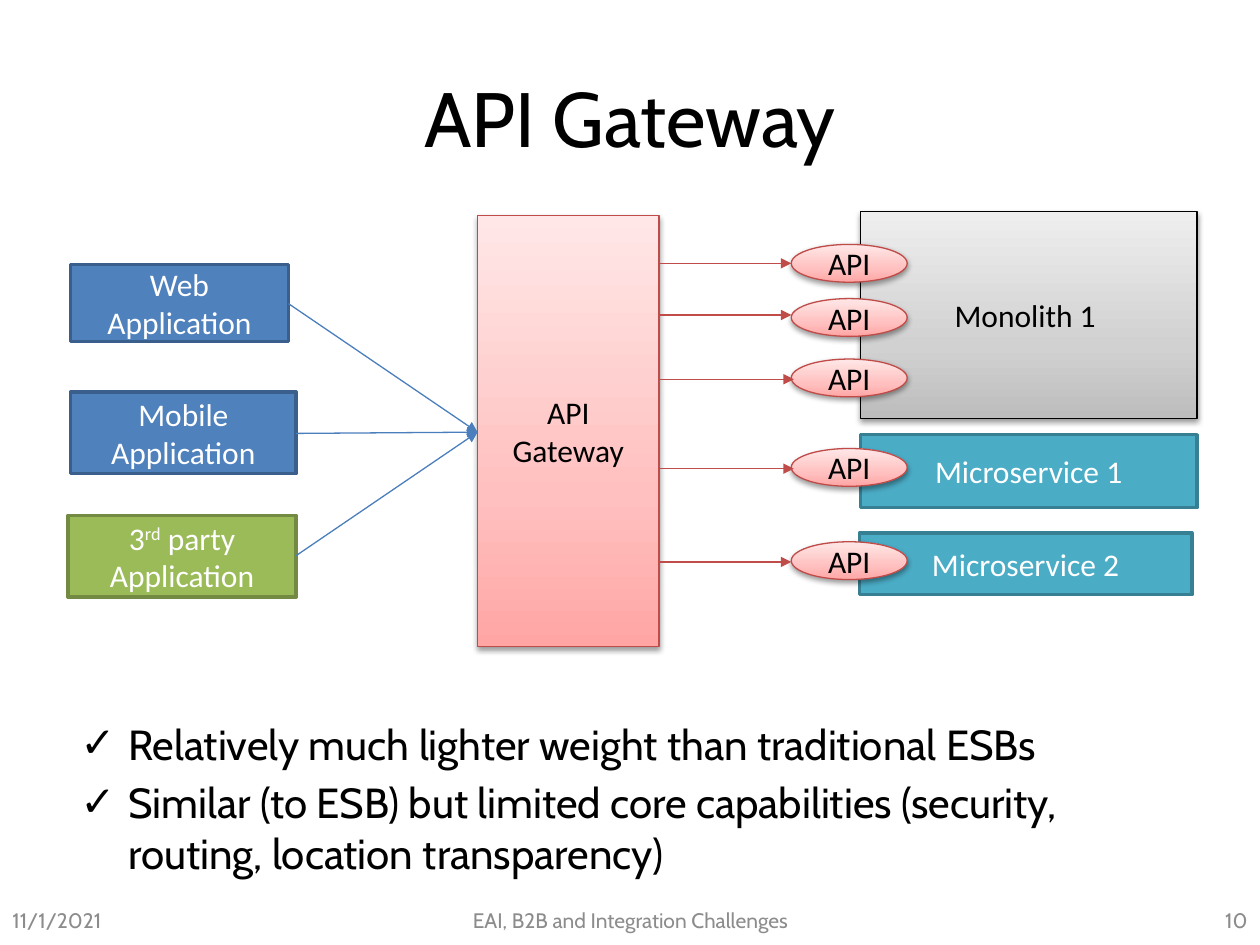
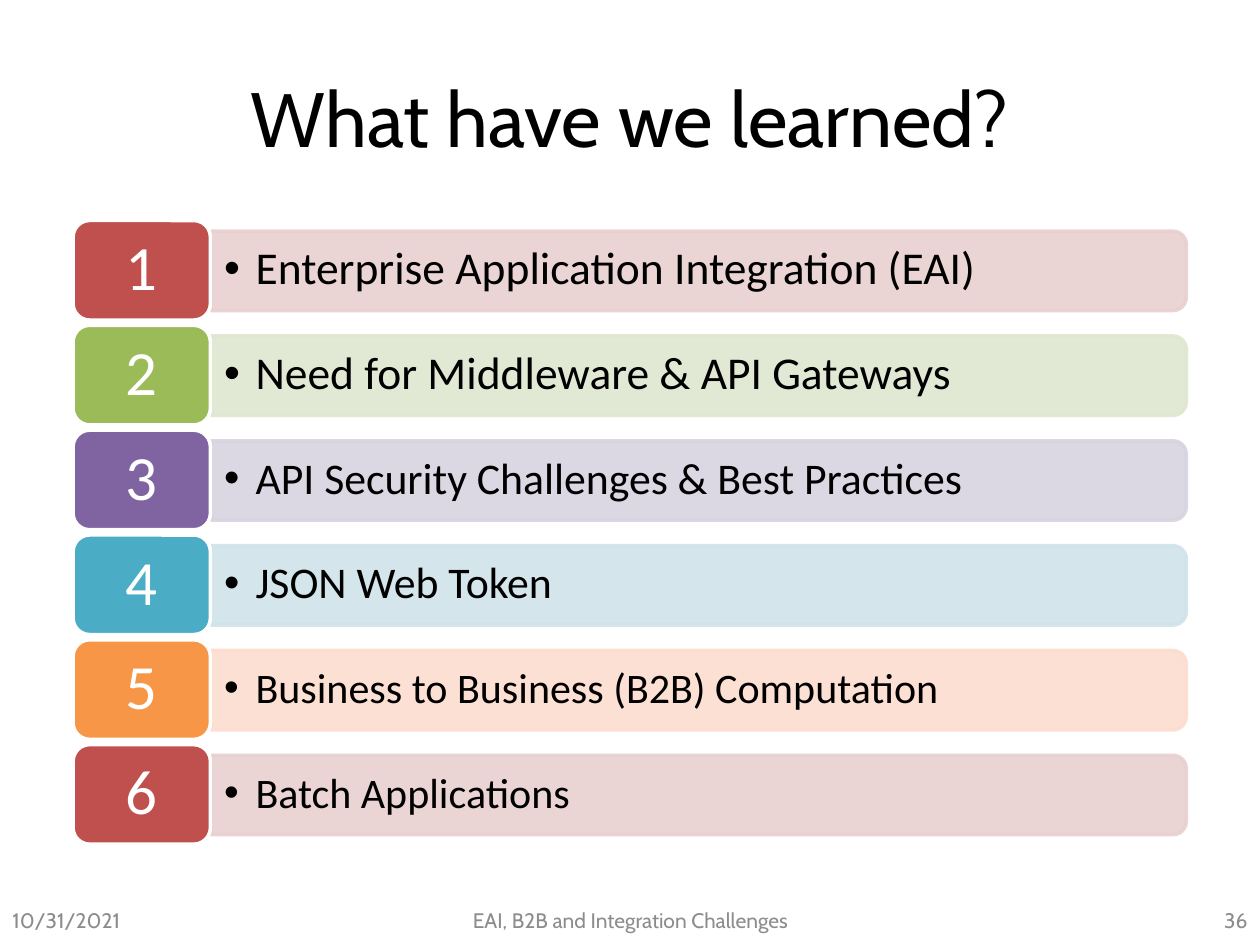
import pptx
import pptx.util
import pptx.dml.color
import pptx.enum.shapes
import pptx.enum.text
import pptx.oxml
import pptx.oxml.ns

Inches = pptx.util.Inches
Pt = pptx.util.Pt
qn = pptx.oxml.ns.qn
SHAPE = pptx.enum.shapes.MSO_SHAPE
ALIGN = pptx.enum.text.PP_ALIGN
MIDDLE = pptx.enum.text.MSO_ANCHOR.MIDDLE
TOP = pptx.enum.text.MSO_ANCHOR.TOP
rgb = pptx.dml.color.RGBColor.from_string
NS = pptx.oxml.ns.nsdecls("a")

# Shared style
HEAD_FONT, BODY_FONT = "Cabin", "Calibri"
BLACK, WHITE, FOOTER_GREY = "000000", "FFFFFF", "8C8C8C"
BLUE, GREEN, TEAL, RED = "4F81BD", "9BBB59", "4BACC6", "C0504D"
BLUE_EDGE, GREEN_EDGE, TEAL_EDGE = "3A5F8C", "738A42", "377F92"
BLUE_ARROW, RED_EDGE = "4B7EBC", "BF4C48"
PINK_FADE = ["FFA6A5", "FFC0BF", "FFE7E7"]
GREY_FADE = ["BDBDBD", "D1D1D1", "EEEEEE"]


def write(shape, paragraphs, size, color, font=BODY_FONT, align=ALIGN.CENTER,
          anchor=MIDDLE, bullet=None, indent=0.0, spacing=None):
    """Fill a shape with paragraphs, each a list of (text, baseline) runs."""
    frame = shape.text_frame
    frame.word_wrap = True
    frame.vertical_anchor = anchor
    for i, runs in enumerate(paragraphs):
        paragraph = frame.add_paragraph() if i else frame.paragraphs[0]
        paragraph.alignment = align
        paragraph.line_spacing = spacing
        if i:
            paragraph.space_before = Pt(size * 0.2)
        if bullet:
            properties = paragraph._p.get_or_add_pPr()
            properties.set("marL", str(Inches(indent)))
            properties.set("indent", str(-Inches(indent)))
            properties.append(pptx.oxml.parse_xml(f'<a:buFont {NS} typeface="Arial"/>'))
            properties.append(pptx.oxml.parse_xml(f'<a:buChar {NS} char="{bullet}"/>'))
        for text, baseline in runs:
            run = paragraph.add_run()
            run.text = text
            run.font.name = font
            run.font.size = Pt(size)
            run.font.color.rgb = rgb(color)
            if baseline:
                run.font._element.set("baseline", str(baseline * 1000))


def draw(slide, kind, at, fill, edge, width=2.0):
    """Add a shape; a list as fill gives a shaded shape with a soft shadow."""
    shape = slide.shapes.add_shape(kind, *map(Inches, at))
    shape.shadow.inherit = False
    shape.line.color.rgb = rgb(edge)
    shape.line.width = Pt(width)
    if isinstance(fill, str):
        shape.fill.solid()
        shape.fill.fore_color.rgb = rgb(fill)
        return shape
    stops = "".join(f'<a:gs pos="{pos}"><a:srgbClr val="{color}"/></a:gs>'
                    for pos, color in zip((0, 35000, 100000), fill))
    properties = shape._element.spPr
    properties.find(qn("a:prstGeom")).addnext(pptx.oxml.parse_xml(
        f'<a:gradFill {NS} rotWithShape="1"><a:gsLst>{stops}</a:gsLst>'
        '<a:lin ang="16200000" scaled="0"/></a:gradFill>'))
    properties.find(qn("a:effectLst")).append(pptx.oxml.parse_xml(
        f'<a:outerShdw {NS} blurRad="40000" dist="20000" dir="5400000" rotWithShape="0">'
        '<a:srgbClr val="000000"><a:alpha val="38000"/></a:srgbClr></a:outerShdw>'))
    return shape


prs = pptx.Presentation()
prs.slide_width = Inches(10)
prs.slide_height = Inches(7.5)

# Title and footer of both slides
for title, date, number in [("API Gateway", "11/1/2021", "10"),
                            ("What have we learned?", "10/31/2021", "36")]:
    slide = prs.slides.add_slide(prs.slide_layouts[6])
    for text, at, size, color, align in [
        (title, (0.5, 0.3, 9, 1.25), 44, BLACK, ALIGN.CENTER),
        (date, (0, 7.1, 2.33, 0.4), 12, FOOTER_GREY, ALIGN.LEFT),
        (number, (7.67, 7.1, 2.33, 0.4), 12, FOOTER_GREY, ALIGN.RIGHT),
        ("EAI, B2B and Integration Challenges", (3.42, 7.1, 3.17, 0.4),
         12, FOOTER_GREY, ALIGN.CENTER),
    ]:
        box = slide.shapes.add_textbox(*map(Inches, at))
        write(box, [[(text, 0)]], size, color, HEAD_FONT, align)

gateway_slide, summary_slide = prs.slides

# Slide 1: clients, gateway and services
for runs, at, fill, edge, width, color in [
    ([("Web Application", 0)], (0.56, 2.1, 1.73, 0.61), BLUE, BLUE_EDGE, 2, WHITE),
    ([("Mobile Application", 0)], (0.56, 3.11, 1.79, 0.65), BLUE, BLUE_EDGE, 2, WHITE),
    ([("3", 0), ("rd", 30), (" party Application", 0)],
     (0.54, 4.09, 1.81, 0.65), GREEN, GREEN_EDGE, 2, WHITE),
    ([("API Gateway", 0)], (3.79, 1.71, 1.44, 3.42), PINK_FADE, RED_EDGE, 0.75, BLACK),
    ([("Monolith 1 ", 0)], (6.83, 1.68, 2.67, 1.64), GREY_FADE, BLACK, 0.75, BLACK),
    ([("Microservice 1", 0)], (6.83, 3.45, 2.67, 0.58), TEAL, TEAL_EDGE, 2, WHITE),
    ([("Microservice 2", 0)], (6.82, 4.23, 2.64, 0.49), TEAL, TEAL_EDGE, 2, WHITE),
]:
    part = draw(gateway_slide, SHAPE.RECTANGLE, at, fill, edge, width)
    write(part, [runs], 18, color)

# API endpoints on the edge of the services
for top in (1.94, 2.37, 2.85, 3.56, 4.3):
    endpoint = draw(gateway_slide, SHAPE.OVAL, (6.28, top, 0.92, 0.3),
                    PINK_FADE, RED_EDGE, 0.75)
    write(endpoint, [[("API", 0)]], 18, BLACK)

# Arrows into the gateway, then out to the endpoints
calls = [(x, y, 3.79, 3.43, BLUE_ARROW)
         for x, y in ((2.29, 2.41), (2.35, 3.44), (2.35, 4.41))]
calls += [(x, y, x + 1.06, y, RED_EDGE)
          for x, y in ((5.22, 2.09), (5.22, 2.5), (5.24, 3.01), (5.24, 3.72), (5.22, 4.46))]
for *ends, color in calls:
    arrow = gateway_slide.shapes.add_connector(
        pptx.enum.shapes.MSO_CONNECTOR.STRAIGHT, *map(Inches, ends))
    arrow.line.color.rgb = rgb(color)
    arrow.line.width = Pt(0.75)
    properties = arrow._element.spPr
    properties.find(qn("a:ln")).append(
        pptx.oxml.parse_xml(f'<a:tailEnd {NS} type="triangle"/>'))
    properties.append(pptx.oxml.parse_xml(f"<a:effectLst {NS}/>"))

# Remarks below the diagram
remarks = gateway_slide.shapes.add_textbox(*map(Inches, (0.54, 5.65, 8.83, 1.57)))
write(remarks, [
    [("Relatively much lighter weight than traditional ESBs", 0)],
    [("Similar (to ESB) but limited core capabilities "
      "(security, routing, location transparency)", 0)],
], 24, BLACK, HEAD_FONT, ALIGN.LEFT, TOP, "✓", 0.38)

# Slide 2: numbered topics
topics = [
    ("Enterprise Application Integration (EAI)", 26, RED, "E8D0D0"),
    ("Need for Middleware & API Gateways", 26, GREEN, "DEE7D1"),
    ("API Security Challenges & Best Practices", 25, "8064A2", "D8D3E0"),
    ("JSON Web Token", 25, TEAL, "D0E3EA"),
    ("Business to Business (B2B) Computation", 24, "F79646", "FCDDCF"),
    ("Batch Applications", 24, RED, "E8D0D0"),
]
first_top, last_top = 1.75, 5.91
pitch = (last_top - first_top) / (len(topics) - 1)
for i, (topic, size, strong, pale) in enumerate(topics):
    top = first_top + i * pitch

    # Pale band, turned so that its round corners face right
    band = draw(summary_slide, SHAPE.ROUND_2_SAME_RECTANGLE,
                (5.23, top - 3.47, 0.63, 7.74), pale, pale)
    band.rotation = 90
    for color in band._element.spPr.iter(qn("a:srgbClr")):
        color.append(pptx.oxml.parse_xml(f'<a:alpha {NS} val="90000"/>'))
    label = summary_slide.shapes.add_textbox(*map(Inches, (1.68, top + 0.11, 7.71, 0.57)))
    write(label, [[(topic, 0)]], size, BLACK, align=ALIGN.LEFT,
          bullet="•", indent=0.25, spacing=0.9)

    badge = draw(summary_slide, SHAPE.ROUNDED_RECTANGLE, (0.58, top, 1.09, 0.79),
                 strong, WHITE)
    write(badge, [[(str(i + 1), 0)]], 36, WHITE, spacing=0.9)

prs.save("out.pptx")
